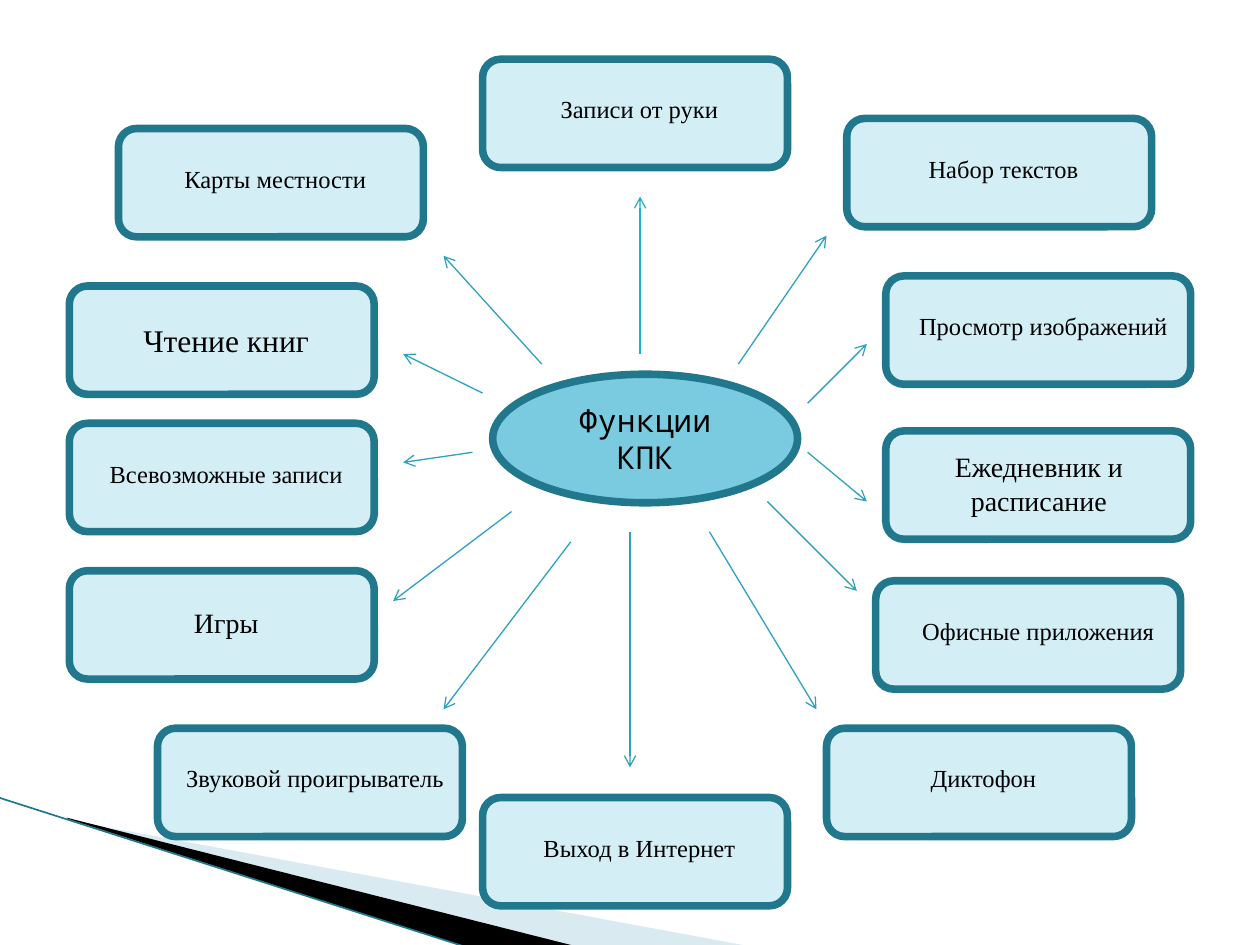
from lxml import etree
from pptx import Presentation
from pptx.dml.color import RGBColor
from pptx.enum.shapes import MSO_CONNECTOR, MSO_SHAPE
from pptx.enum.text import MSO_ANCHOR, MSO_AUTO_SIZE, PP_ALIGN
from pptx.oxml.ns import qn
from pptx.util import Inches, Pt

STRAIGHT = MSO_CONNECTOR.STRAIGHT
ELLIPSE, ROUNDED = MSO_SHAPE.OVAL, MSO_SHAPE.ROUNDED_RECTANGLE
MIDDLE = MSO_ANCHOR.MIDDLE
FIT_SHAPE = MSO_AUTO_SIZE.SHAPE_TO_FIT_TEXT
CENTER = PP_ALIGN.CENTER

BLACK = RGBColor(0x00, 0x00, 0x00)
PALE_WEDGE = RGBColor(0xA0, 0xCB, 0xDC)
HUB_FILL = RGBColor(0x7A, 0xCB, 0xE0)
BOX_FILL = RGBColor(0xD3, 0xEE, 0xF5)
BORDER = RGBColor(0x21, 0x78, 0x8D)
ARROW = RGBColor(0x2D, 0xA2, 0xBF)
UP_ARROW = RGBColor(0x1F, 0xAE, 0xCD)

BOX_WIDTH, BOX_HEIGHT = 2.42, 0.86
LABEL_TOP = 0.23
SERIF, MONO = "Times New Roman", "Noto Sans Mono"

# Box left and top, label, font size, label offset, label width, label height
FUNCTIONS = [
    (0.55, 2.27, "Чтение книг", 18, 0.23, 2.03, 0.4),
    (7.03, 3.42, "Ежедневник и расписание", 16, 0.16, 2.11, 0.64),
    (6.72, 0.94, "Набор текстов", 14, 0.23, 2.03, 0.34),
    (0.55, 3.36, "Всевозможные записи", 14, 0.15, 2.19, 0.34),
    (6.56, 5.78, "Диктофон", 14, 0.23, 2.03, 0.34),
    (1.25, 5.78, "Звуковой проигрыватель", 14, 0.08, 2.34, 0.34),
    (0.94, 1.02, "Карты местности", 14, 0.23, 2.03, 0.34),
    (0.55, 4.53, "Игры", 16, 0.23, 2.03, 0.37),
    (7.03, 2.19, "Просмотр изображений", 14, 0.08, 2.34, 0.34),
    (3.83, 6.33, "Выход в Интернет", 14, 0.23, 2.03, 0.34),
    (6.95, 4.61, "Офисные приложения", 14, 0.08, 2.42, 0.34),
    (3.83, 0.47, "Записи от руки", 14, 0.23, 2.03, 0.34),
]

# Start and end of the arrows around the hub
ARROWS = [
    ((4.3, 2.89), (3.52, 2.03)),
    ((5.86, 2.89), (6.56, 1.87)),
    ((3.83, 3.12), (3.2, 2.81)),
    ((3.75, 3.59), (3.2, 3.67)),
    ((4.06, 4.06), (3.12, 4.77)),
    ((4.53, 4.3), (3.52, 5.63)),
    ((5, 4.22), (5, 6.09)),
    ((5.63, 4.22), (6.48, 5.63)),
    ((6.09, 3.98), (6.8, 4.69)),
    ((6.41, 3.2), (6.88, 2.73)),
    ((6.41, 3.59), (6.88, 3.98)),
]


def add_wedge(page, points, color, opacity=100):
    corners = [(Inches(x), Inches(y)) for x, y in points]
    builder = page.shapes.build_freeform(*corners[0])
    builder.add_line_segments(corners[1:], close=True)
    wedge = builder.convert_to_shape()
    wedge.shadow.inherit = False
    wedge.fill.solid()
    wedge.fill.fore_color.rgb = color
    wedge.line.fill.background()
    if opacity < 100:
        tint = wedge.fill._xPr.find(qn("a:solidFill"))[0]
        etree.SubElement(tint, qn("a:alpha"), val=str(opacity * 1000))


def add_line(page, start, end, color, width, arrow=True):
    line = page.shapes.add_connector(
        STRAIGHT, *[Inches(value) for value in (*start, *end)])
    line.line.color.rgb = color
    line.line.width = Pt(width)
    properties = line._element.spPr
    if arrow:
        outline = properties.find(qn("a:ln"))
        etree.SubElement(outline, qn("a:tailEnd"), type="arrow")
    etree.SubElement(properties, qn("a:effectLst"))


def add_outlined(shapes, kind, left, top, width, height, color):
    shape = shapes.add_shape(
        kind, Inches(left), Inches(top), Inches(width), Inches(height))
    shape.shadow.inherit = False
    shape.fill.solid()
    shape.fill.fore_color.rgb = color
    shape.line.color.rgb = BORDER
    shape.line.width = Pt(4.33)
    return shape


def write_centered(frame, text, size, font):
    frame.word_wrap = True
    para = frame.paragraphs[0]
    para.text = text
    para.alignment = CENTER
    para.font.size = Pt(size)
    para.font.name = font
    para.font.color.rgb = BLACK


def add_function(page, left, top, text, size, offset, width, height):
    group = page.shapes.add_group_shape()
    add_outlined(group.shapes, ROUNDED, left, top, BOX_WIDTH, BOX_HEIGHT, BOX_FILL)
    label = group.shapes.add_textbox(
        Inches(left + offset), Inches(top + (0.1 if height > 0.5 else LABEL_TOP)),
        Inches(width), Inches(height))
    write_centered(label.text_frame, text, size, SERIF)
    label.text_frame.auto_size = FIT_SHAPE


def main():
    deck = Presentation()
    deck.slide_width, deck.slide_height = Inches(10), Inches(7.5)
    page = deck.slides.add_slide(deck.slide_layouts[6])

    # Corner decoration
    add_wedge(page, [(0.55, 6.51), (5.95, 7.51), (4.56, 7.51), (0.55, 6.5)],
              PALE_WEDGE, opacity=40)
    add_wedge(page, [(0.53, 6.49), (4.57, 7.51), (3.72, 7.52), (0.54, 6.5)], BLACK)
    add_line(page, (-0.01, 6.33), (3.71, 7.52), BORDER, 0.95, arrow=False)

    # Central topic
    hub = add_outlined(page.shapes, ELLIPSE, 3.91, 2.97, 2.42, 1.02, HUB_FILL)
    hub.text_frame.vertical_anchor = MIDDLE
    write_centered(hub.text_frame, "Функции КПК", 18, MONO)

    # Functions around it
    for function in FUNCTIONS:
        add_function(page, *function)

    # Arrows from the topic to its functions
    add_line(page, (5.08, 2.81), (5.08, 1.56), UP_ARROW, 0.75)
    for start, end in ARROWS:
        add_line(page, start, end, ARROW, 0.75)

    deck.save("out.pptx")


if __name__ == "__main__":
    main()
